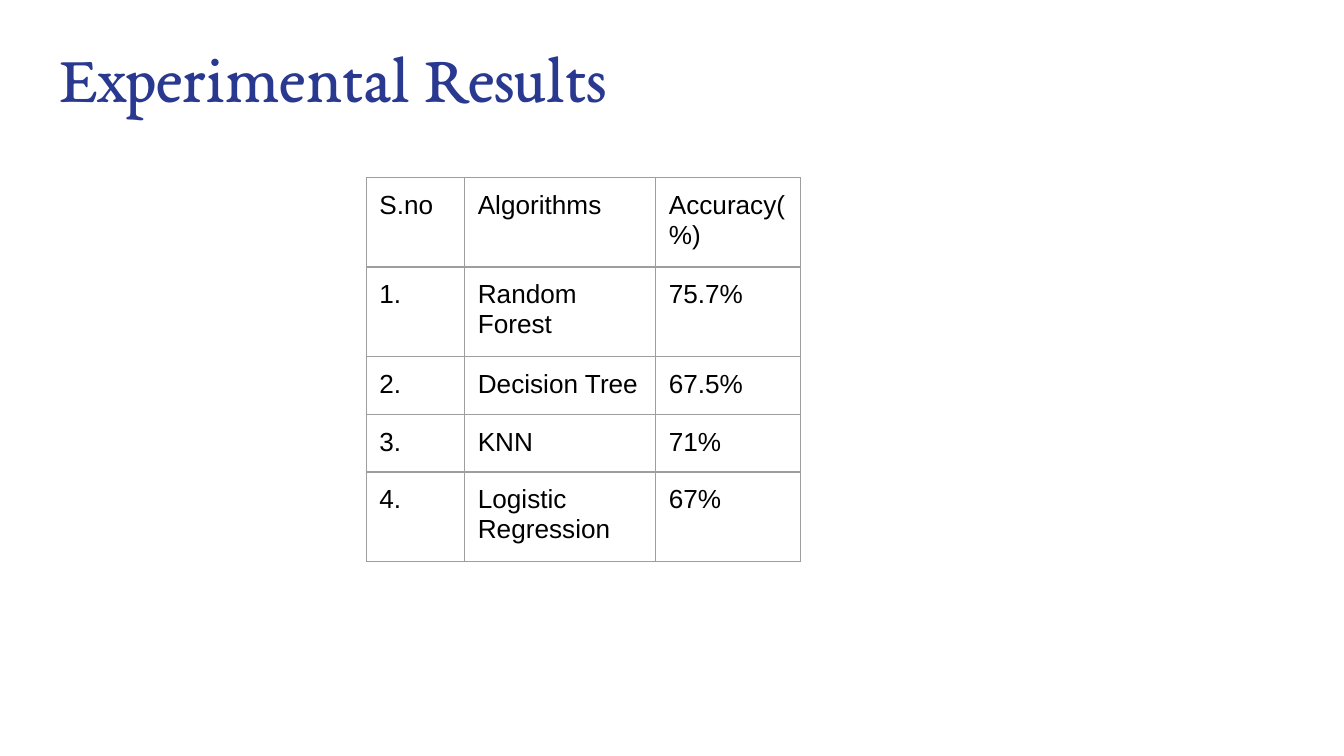
from lxml import etree
from pptx import Presentation, util as u
from pptx.dml.color import RGBColor
from pptx.enum import text
from pptx.oxml.ns import qn

INSET = u.Cm(0.25)


def write_text(frame, content, *, font, size, color):
    frame.word_wrap = True
    paragraph = frame.paragraphs[0]
    paragraph.alignment = text.PP_ALIGN.LEFT
    run = paragraph.add_run()
    run.text = content
    run.font.name = font
    run.font.size = u.Pt(size)
    run.font.color.rgb = RGBColor.from_string(color)


def add_borders(cell, color, width):
    properties = cell._tc.get_or_add_tcPr()
    for position, side in enumerate(("lnL", "lnR", "lnT", "lnB")):
        line = etree.Element(qn(f"a:{side}"), w=str(u.Pt(width)))
        fill = etree.SubElement(line, qn("a:solidFill"))
        etree.SubElement(fill, qn("a:srgbClr"), val=color)
        properties.insert(position, line)


presentation = Presentation()
presentation.slide_width = u.Cm(25.4)
presentation.slide_height = u.Cm(14.29)
slide = presentation.slides.add_slide(presentation.slide_layouts[6])

# Title
title = slide.shapes.add_textbox(u.Cm(0.87), u.Cm(0.41), u.Cm(23.67), u.Cm(1.88))
frame = title.text_frame
frame.margin_left = frame.margin_right = INSET
frame.margin_top = frame.margin_bottom = INSET
write_text(frame, "Experimental Results", font="EB Garamond", size=36, color="2A3990")

# Accuracy table
results = [
    ("S.no", "Algorithms", "Accuracy(%)"),
    ("1.", "Random Forest", "75.7%"),
    ("2.", "Decision Tree", "67.5%"),
    ("3.", "KNN", "71%"),
    ("4.", "Logistic Regression", "67%"),
]
column_widths = [1.86, 3.61, 2.74]
row_heights = [1.65, 1.07, 1.07, 1.07, 1.65]

table = slide.shapes.add_table(
    len(results), len(column_widths), u.Cm(6.92), u.Cm(3.36),
    u.Cm(sum(column_widths)), u.Cm(sum(row_heights)),
).table
table.first_row = table.horz_banding = False
for column, width in zip(table.columns, column_widths):
    column.width = u.Cm(width)

for row, height, values in zip(table.rows, row_heights, results):
    row.height = u.Cm(height)
    for cell, value in zip(row.cells, values):
        cell.margin_left = cell.margin_right = INSET
        cell.margin_top = cell.margin_bottom = INSET
        cell.fill.background()
        add_borders(cell, "9E9E9E", 0.75)
        write_text(cell.text_frame, value, font="Arial", size=14, color="000000")

presentation.save("out.pptx")
